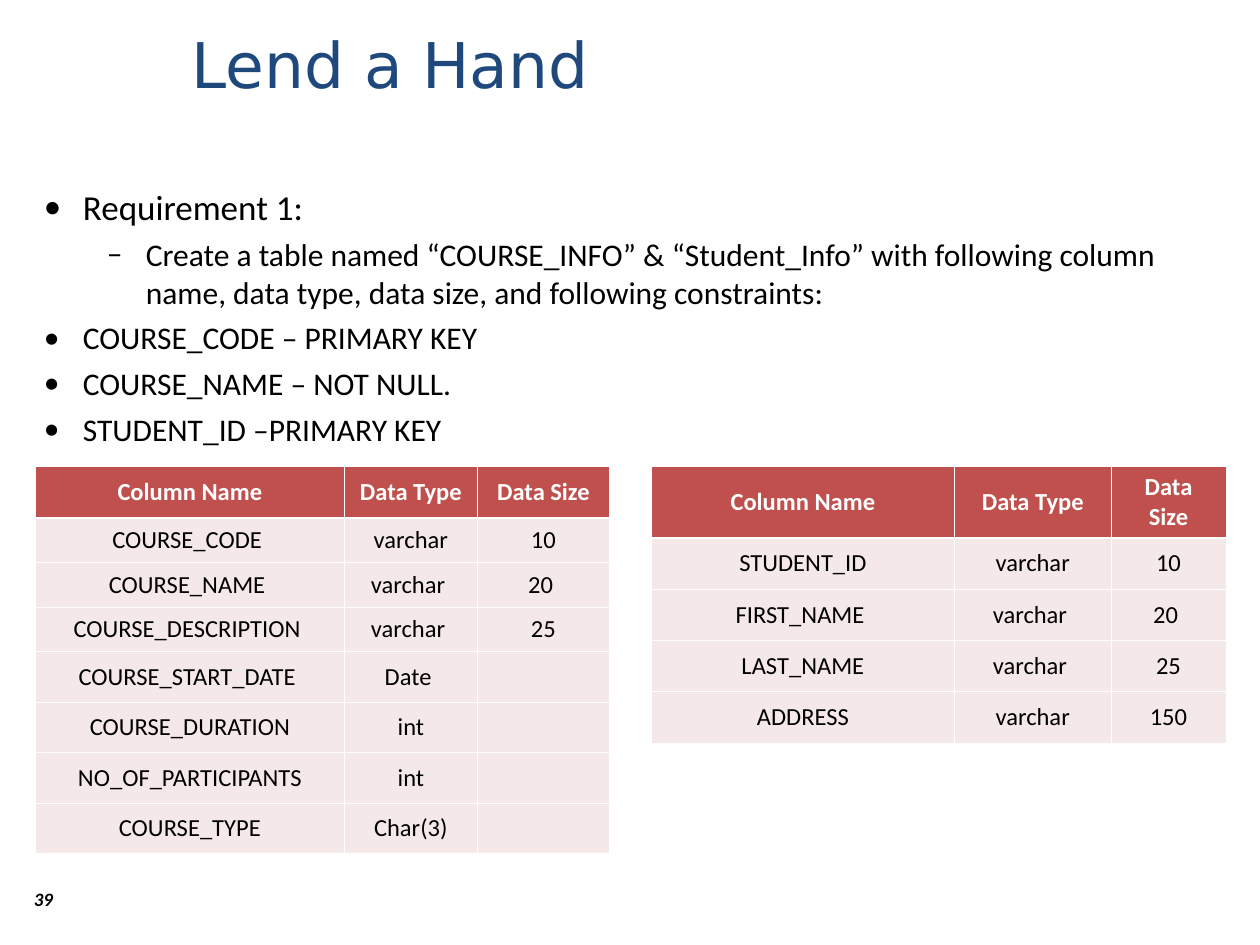
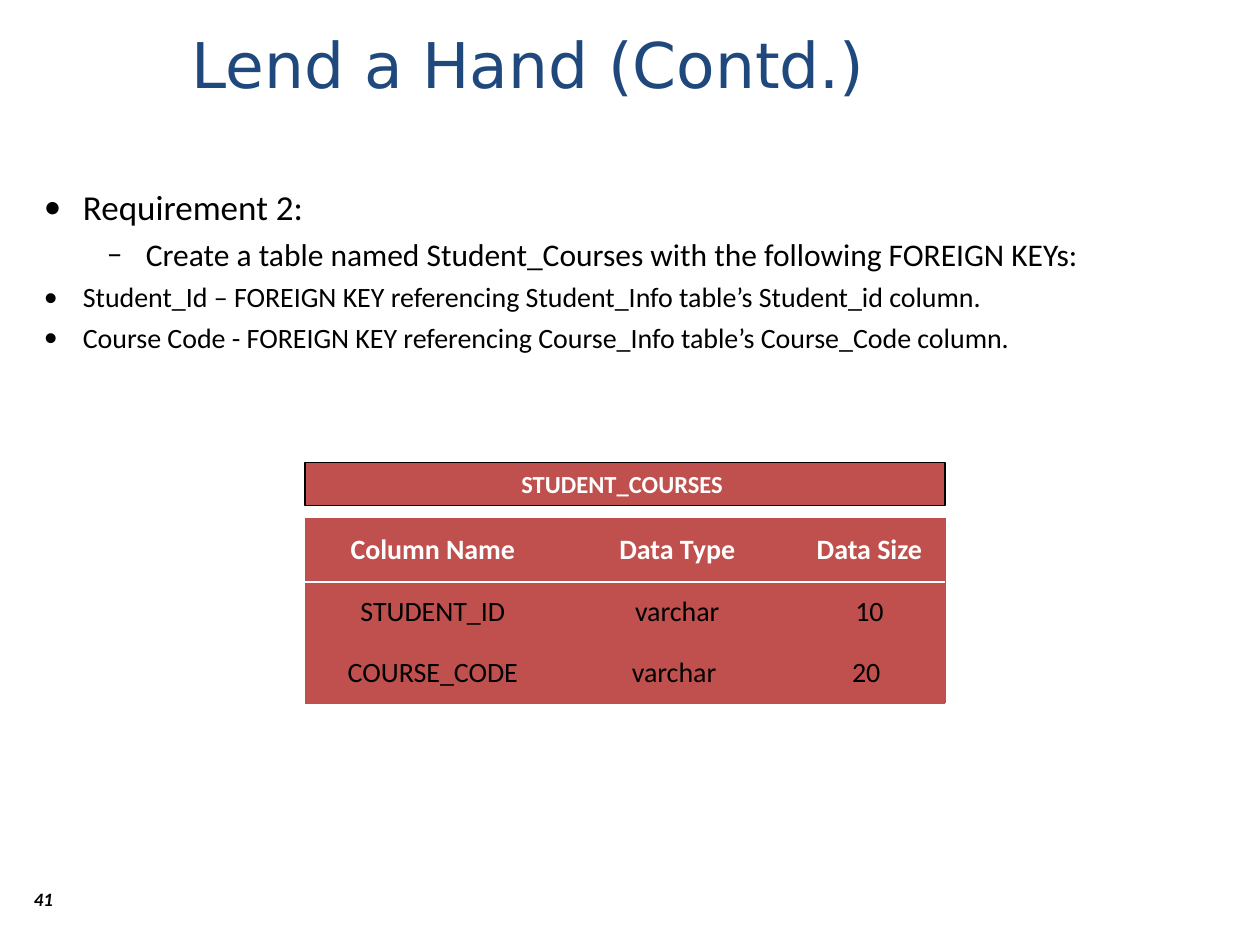
from pptx import Presentation
from pptx import util as u
from pptx.dml.color import RGBColor
from pptx.enum import shapes, text
from pptx.oxml.ns import qn
from lxml import etree

# Shared colours
NAVY = RGBColor(0x1F, 0x49, 0x7D)
RED = RGBColor(0xC0, 0x50, 0x4D)
PINK = RGBColor(0xF4, 0xE9, 0xE8)
WHITE = RGBColor(0xFF, 0xFF, 0xFF)
BLACK = RGBColor(0x00, 0x00, 0x00)

# Square grid of 100 columns by 75 rows
WIDTH, HEIGHT = u.Inches(10), u.Inches(7.5)
UNIT = WIDTH / 100

# Boxes in grid units: left, top, width, height
TITLE_BOX = (14.2, 0.8, 83.8, 8.4)
BODY_BOX = (2.5, 14.2, 95, 52.3)
PAGE_NUMBER_BOX = (1.7, 70.3, 5, 3)
COURSE_BOX = (2.8, 37, 45.6, 28.9)
STUDENT_BOX = (51.7, 37, 45.6, 21.9)
ENROLMENT_BOX = (24.2, 36.7, 50.8, 19.1)

# Text formats
TITLE_FONT = dict(name="DejaVu Sans", size=u.Pt(36), bold=False)
PAGE_NUMBER_FONT = dict(name="Calibri", size=u.Pt(10.8), bold=True, italic=True)

# Table looks: body fill, grid line, width of grid line and of header rule
LIGHT_LOOK = dict(body_fill=PINK, grid=WHITE, thin=0.45, thick=1.47, size=14)
RED_LOOK = dict(body_fill=RED, grid=RED, thin=0.34, thick=0.96, size=16)

# Bullet by level: sign and left margin in inches
BULLETS = [("•", 0.31), ("–", 0.81), ("•", 0.31)]
HANGING = u.Inches(0.31)

HEADINGS = ("Column Name", "Data Type", "Data Size")
COURSE_ROWS = [
    HEADINGS,
    ("COURSE_CODE ", "varchar", "10"),
    ("COURSE_NAME ", "varchar ", "20 "),
    ("COURSE_DESCRIPTION ", "varchar ", "25"),
    ("COURSE_START_DATE ", "Date ", ""),
    ("COURSE_DURATION", "int", ""),
    ("NO_OF_PARTICIPANTS", "int", ""),
    ("COURSE_TYPE", "Char(3)", ""),
]
STUDENT_ROWS = [
    HEADINGS,
    ("STUDENT_ID", "varchar", "10"),
    ("FIRST_NAME ", "varchar ", "20 "),
    ("LAST_NAME", "varchar ", "25"),
    ("ADDRESS", "varchar", "150"),
]
ENROLMENT_ROWS = [
    HEADINGS,
    ("STUDENT_ID", "varchar", "10"),
    ("COURSE_CODE", "varchar ", "20 "),
]

# Bullet lists: level, size, wording
COURSE_POINTS = [
    (0, 20, "Requirement 1:"),
    (1, 18, "Create a table named “COURSE_INFO” & “Student_Info” with following "
            "column name, data type, data size, and following constraints:"),
    (2, 18, "COURSE_CODE – PRIMARY KEY"),
    (2, 18, "COURSE_NAME – NOT NULL."),
    (2, 18, "STUDENT_ID –PRIMARY KEY"),
]
ENROLMENT_POINTS = [
    (0, 20, "Requirement 2:"),
    (1, 18, "Create a table named Student_Courses with the following FOREIGN KEYs:"),
    (2, 16, "Student_Id – FOREIGN KEY referencing Student_Info table’s Student_id column."),
    (2, 16, "Course Code - FOREIGN KEY referencing Course_Info table’s Course_Code column."),
]


def grid(*lengths):
    return [round(length * UNIT) for length in lengths]


def set_all(target, values):
    for name, value in values.items():
        setattr(target, name, value)


def write(para, wording, font, colour, **layout):
    span = para.add_run()
    span.text = wording
    set_all(span.font, font)
    span.font.color.rgb = colour
    set_all(para, layout)


def add_bullet(para, sign, margin):
    props = para._p.get_or_add_pPr()
    props.set("marL", str(u.Inches(margin)))
    props.set("indent", str(-HANGING))
    colour = etree.SubElement(props, qn("a:buClr"))
    etree.SubElement(colour, qn("a:srgbClr"), val=str(BLACK))
    etree.SubElement(props, qn("a:buFont"), typeface="Calibri")
    etree.SubElement(props, qn("a:buChar"), char=sign)


def set_borders(cell, borders):
    props = cell._tc.get_or_add_tcPr()
    for index, (side, (colour, width)) in enumerate(borders.items()):
        line = etree.Element(qn("a:ln" + side), w=str(u.Pt(width)))
        fill = etree.SubElement(line, qn("a:solidFill"))
        etree.SubElement(fill, qn("a:srgbClr"), val=str(colour))
        props.insert(index, line)


def add_page(deck, title, number):
    """Page with the title and page number that all slides share."""
    page = deck.slides.add_slide(deck.slide_layouts[5])
    heading = page.shapes.title
    set_all(heading, dict(zip(("left", "top", "width", "height"), grid(*TITLE_BOX))))
    set_all(heading.text_frame, dict(vertical_anchor=text.MSO_ANCHOR.MIDDLE,
                                     word_wrap=True, auto_size=text.MSO_AUTO_SIZE.NONE))
    write(heading.text_frame.paragraphs[0], title, TITLE_FONT, NAVY,
          alignment=text.PP_ALIGN.LEFT)

    footer = page.shapes.add_textbox(*grid(*PAGE_NUMBER_BOX)).text_frame
    footer.word_wrap = True
    write(footer.paragraphs[0], number, PAGE_NUMBER_FONT, BLACK, line_spacing=0.8)
    return page


def add_points(page, box, points):
    frame = page.shapes.add_textbox(*grid(*box)).text_frame
    frame.word_wrap = True
    for index, (level, size, wording) in enumerate(points):
        para = frame.add_paragraph() if index else frame.paragraphs[0]
        add_bullet(para, *BULLETS[level])
        # The gap above a point is a quarter of its text size
        write(para, wording, dict(name="Calibri", size=u.Pt(size)), BLACK,
              level=level, space_before=u.Pt(size / 4 if index else 0))


def add_field_table(page, box, rows, columns, header, look):
    """Table whose body rows share the height left below the header."""
    left, top, width, height = box
    table = page.shapes.add_table(len(rows), len(columns), *grid(*box)).table
    table.horz_banding = False
    for column, share in zip(table.columns, columns):
        column.width = round(width * share / sum(columns) * UNIT)
    body_height = (height - header) / (len(rows) - 1)
    thin, rule = (look["grid"], look["thin"]), (WHITE, look["thick"])

    for r, fields in enumerate(rows):
        table.rows[r].height = round((body_height if r else header) * UNIT)
        for c, wording in enumerate(fields):
            cell = table.cell(r, c)
            cell.vertical_anchor = text.MSO_ANCHOR.MIDDLE
            cell.fill.solid()
            cell.fill.fore_color.rgb = look["body_fill"] if r else RED
            set_borders(cell, dict(L=thin, R=thin, T=rule if r == 1 else thin,
                                   B=thin if r else rule))
            if wording:
                font = dict(name="Calibri", size=u.Pt(look["size"]), bold=r == 0)
                write(cell.text_frame.paragraphs[0], wording, font,
                      BLACK if r else WHITE, alignment=text.PP_ALIGN.CENTER)


def add_captioned_table(page, box, caption, rows, columns, header, look):
    """Caption bar with a table under it, one unit apart."""
    left, top, width, height = box
    bar_height, gap = 3.4, 1
    bar = page.shapes.add_shape(shapes.MSO_SHAPE.RECTANGLE,
                                *grid(left, top, width, bar_height))
    bar.shadow.inherit = False
    bar.fill.solid()
    bar.fill.fore_color.rgb = RED
    bar.line.color.rgb = BLACK
    bar.line.width = u.Pt(0.75)
    set_all(bar.text_frame, dict(vertical_anchor=text.MSO_ANCHOR.TOP, word_wrap=True,
                                 auto_size=text.MSO_AUTO_SIZE.SHAPE_TO_FIT_TEXT))
    write(bar.text_frame.paragraphs[0], caption,
          dict(name="Calibri", size=u.Pt(14), bold=True), WHITE,
          alignment=text.PP_ALIGN.CENTER)
    offset = bar_height + gap
    add_field_table(page, (left, top + offset, width, height - offset),
                    rows, columns, header, look)


def build_requirement_1(deck):
    page = add_page(deck, "Lend a Hand", "39")
    add_points(page, BODY_BOX, COURSE_POINTS)
    add_field_table(page, COURSE_BOX, COURSE_ROWS, (24.5, 10.5, 10.5), 4.1, LIGHT_LOOK)
    add_field_table(page, STUDENT_BOX, STUDENT_ROWS, (24, 12.4, 9.1), 5.6, LIGHT_LOOK)


def build_requirement_2(deck):
    page = add_page(deck, "Lend a Hand (Contd.)", "41")
    add_points(page, BODY_BOX, ENROLMENT_POINTS)
    add_captioned_table(page, ENROLMENT_BOX, "STUDENT_COURSES ", ENROLMENT_ROWS,
                        (20.3, 18.5, 12), 5.1, RED_LOOK)


def main():
    deck = Presentation()
    deck.slide_width, deck.slide_height = WIDTH, HEIGHT
    build_requirement_1(deck)
    build_requirement_2(deck)
    deck.save("out.pptx")


if __name__ == "__main__":
    main()
